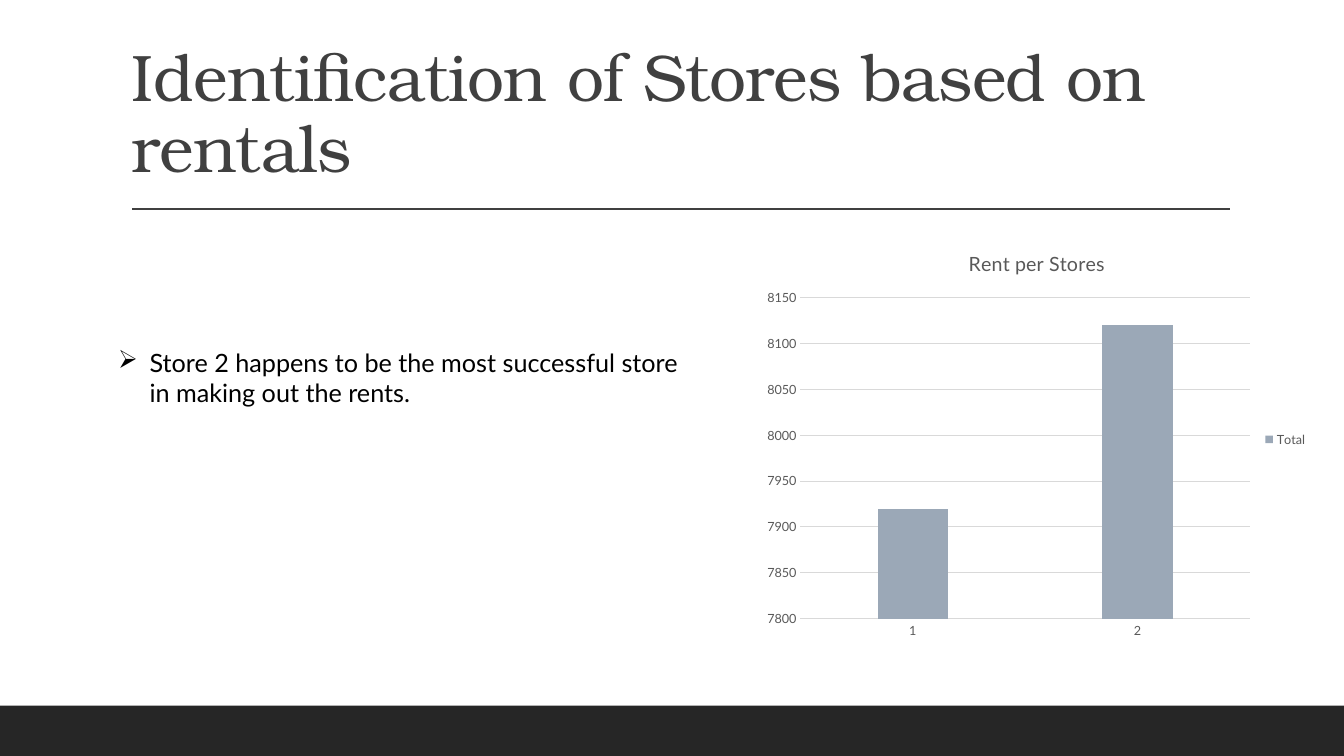
from pptx import Presentation
from pptx.chart.data import CategoryChartData
from pptx.dml.color import RGBColor
from pptx.enum.chart import XL_CHART_TYPE, XL_LEGEND_POSITION, XL_TICK_MARK
from pptx.enum.shapes import MSO_CONNECTOR, MSO_SHAPE
from pptx.enum.text import MSO_ANCHOR
from pptx.oxml.ns import qn
from pptx.util import Pt
from lxml.etree import SubElement

EMU_PER_PX = 9525
BODY_FONT = "Lato"
TITLE_FONT = "TeX Gyre Bonum"
DARK = "404040"
GREY = "595959"
PALE = "D9D9D9"


def px(length):
    """Turn pixels into EMU."""
    return length * EMU_PER_PX


def color(value):
    """Turn a hex string into a colour."""
    return RGBColor.from_string(value)


def style_font(font, name, size, value):
    """Set the typeface, size and colour of a font."""
    font.name = name
    font.size = Pt(size)
    font.bold = False
    font.color.rgb = color(value)


def style_line(line, value, width):
    """Set the colour and width of a line."""
    line.color.rgb = color(value)
    line.width = Pt(width)


def add_text(page, box, text, anchor):
    """Add a wrapping text box and return its paragraph."""
    frame = page.shapes.add_textbox(*map(px, box)).text_frame
    frame.word_wrap = True
    frame.vertical_anchor = anchor
    frame.text = text
    return frame.paragraphs[0]


def add_footer(page, box):
    """Add the dark band along the bottom."""
    band = page.shapes.add_shape(MSO_SHAPE.RECTANGLE, *map(px, box))
    band.shadow.inherit = False
    band.fill.solid()
    band.fill.fore_color.rgb = color("262626")
    band.line.fill.background()


def add_heading(page, box):
    """Add the title and the rule beneath it."""
    left, top, width, height = box
    para = add_text(page, box, "Identification of Stores based on rentals",
                    MSO_ANCHOR.BOTTOM)
    para.line_spacing = 0.9
    span = para.runs[0]
    style_font(span.font, TITLE_FONT, 47, DARK)
    span.font._element.set("spc", "-50")
    rule_y = px(top + height + 16)
    rule = page.shapes.add_connector(MSO_CONNECTOR.STRAIGHT, px(left + 10), rule_y,
                                     px(left + width - 1), rule_y)
    style_line(rule.line, DARK, 1)
    SubElement(rule._element.spPr, qn("a:effectLst"))


def add_finding(page, box):
    """Add the bulleted finding."""
    para = add_text(page, box, "Store 2 happens to be the most successful store "
                    "in making out the rents.", MSO_ANCHOR.TOP)
    properties = para._p.get_or_add_pPr()
    properties.set("marL", str(px(30)))
    properties.set("indent", str(-px(30)))
    SubElement(properties, qn("a:buChar"), char="➢")
    style_font(para.runs[0].font, BODY_FONT, 18, "000000")


def add_rent_chart(page, box):
    """Add the column chart of rent per store."""
    data = CategoryChartData()
    data.categories = ["1", "2"]
    data.add_series("Total", (7920, 8120))
    chart = page.shapes.add_chart(XL_CHART_TYPE.COLUMN_CLUSTERED,
                                  *map(px, box), data).chart
    style_font(chart.font, BODY_FONT, 10, "000000")

    chart.has_title = True
    title = chart.chart_title
    title.include_in_layout = False
    title.text_frame.text = "Rent per Stores"
    style_font(title.text_frame.paragraphs[0].runs[0].font, BODY_FONT, 14, GREY)

    chart.has_legend = True
    chart.legend.position = XL_LEGEND_POSITION.RIGHT
    chart.legend.include_in_layout = False
    style_font(chart.legend.font, BODY_FONT, 9, GREY)

    for axis in (chart.category_axis, chart.value_axis):
        axis.major_tick_mark = XL_TICK_MARK.NONE
        axis.minor_tick_mark = XL_TICK_MARK.NONE
        style_font(axis.tick_labels.font, BODY_FONT, 9, GREY)
    style_line(chart.category_axis.format.line, PALE, 0.75)
    values = chart.value_axis
    values.minimum_scale, values.maximum_scale, values.major_unit = 7800, 8150, 50
    values.format.line.fill.background()
    style_line(values.major_gridlines.format.line, PALE, 0.75)

    plot = chart.plots[0]
    plot.gap_width = 219
    plot.overlap = -27
    plot.vary_by_categories = False
    fill = plot.series[0].format.fill
    fill.solid()
    fill.fore_color.rgb = color("9BA8B7")


def main():
    """Build and save the deck."""
    deck = Presentation()
    deck.slide_width, deck.slide_height = px(1280), px(720)
    page = deck.slides.add_slide(deck.slide_layouts[6])
    add_footer(page, (0, 672, 1280, 48))
    add_heading(page, (116, 30, 1056, 153))
    add_rent_chart(page, (720, 221, 535, 395))
    add_finding(page, (103, 326, 557, 68))
    deck.save("out.pptx")


if __name__ == "__main__":
    main()
